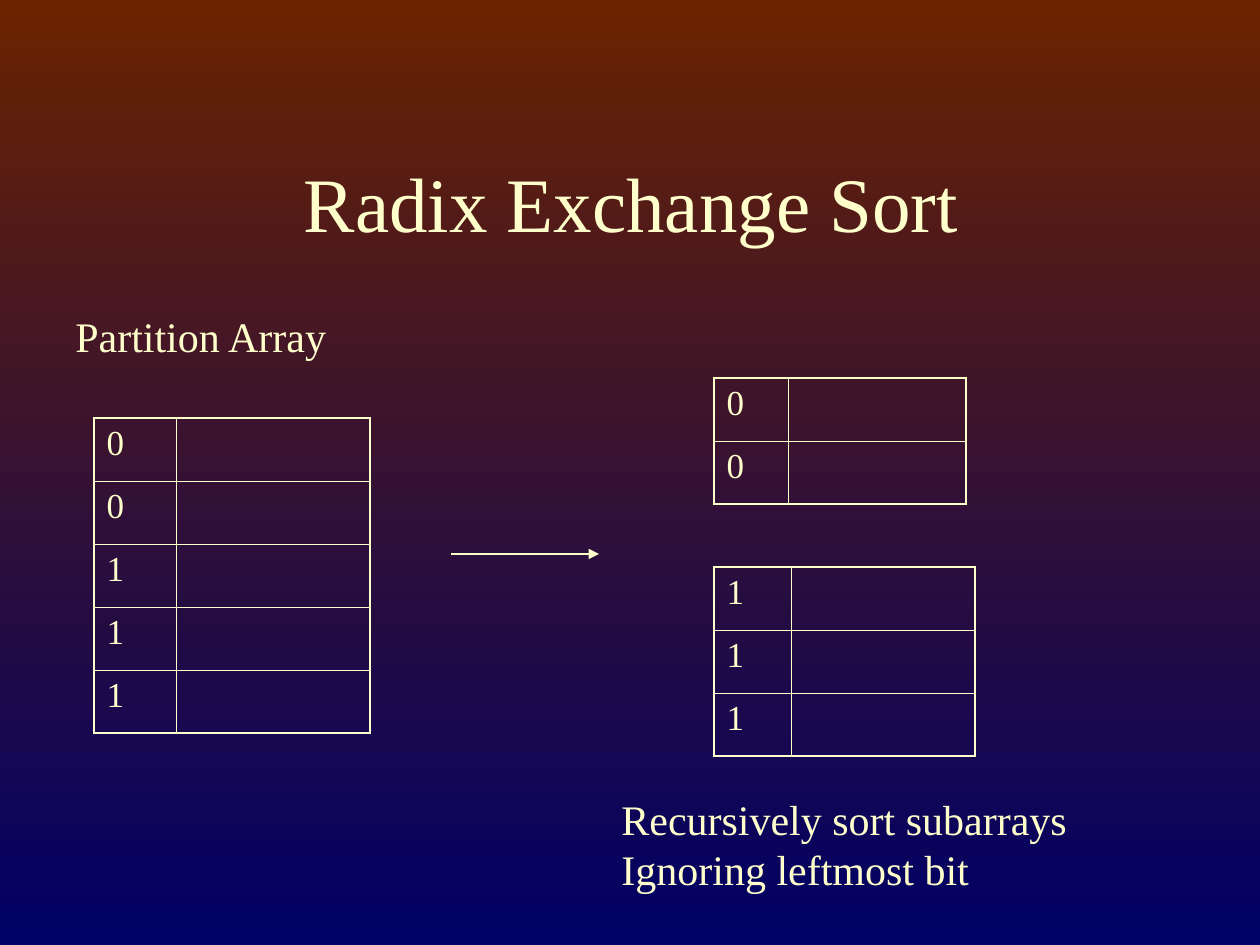
from lxml.etree import SubElement
from pptx import Presentation
from pptx.dml.color import RGBColor
from pptx.enum.shapes import MSO_CONNECTOR
from pptx.enum.text import MSO_ANCHOR, MSO_AUTO_SIZE, PP_ALIGN
from pptx.oxml.ns import qn
from pptx.util import Emu, Pt

PX_PER_INCH = 126
FONT = "Times New Roman"
CREAM = "FFFFCC"
BACKDROP = ["6B2300", "000066"]
OUTER, INNER = 1.08, 0.45
ROW_HEIGHT = 63

TITLE = ("Radix Exchange Sort", (19, 122, 1225, 159))
CAPTIONS = [
    (["Partition Array"], (63, 304, 279, 63)),
    (["Recursively sort subarrays", "Ignoring leftmost bit"], (609, 787, 474, 113)),
]
ARRAYS = [
    (["0", "0", "1", "1", "1"], (94, 418), (82, 194)),
    (["0", "0"], (714, 378), (74, 178)),
    (["1", "1", "1"], (714, 567), (77, 184)),
]
ARROW = (451, 554, 599, 554)


def px(*lengths):
    return [Emu(round(length * 914400 / PX_PER_INCH)) for length in lengths]


def color(hex_code):
    return RGBColor.from_string(hex_code)


def write(paragraph, words, size):
    run = paragraph.add_run()
    run.text = words
    run.font.name = FONT
    run.font.size = Pt(size)
    run.font.color.rgb = color(CREAM)


def add_border(cell, side, points):
    edge = SubElement(cell._tc.get_or_add_tcPr(), qn(f"a:ln{side}"), w=str(Pt(points)))
    paint = SubElement(edge, qn("a:solidFill"))
    SubElement(paint, qn("a:srgbClr"), val=CREAM)


def add_array(slide, bits, corner, widths):
    size = (sum(widths), ROW_HEIGHT * len(bits))
    table = slide.shapes.add_table(len(bits), len(widths), *px(*corner, *size)).table
    table.first_row = table.horz_banding = False
    for column, width in zip(table.columns, px(*widths)):
        column.width = width
    last_row, last_column = len(bits) - 1, len(widths) - 1
    for r, bit in enumerate(bits):
        for c in range(len(widths)):
            cell = table.cell(r, c)
            on_edge = {"L": c == 0, "R": c == last_column, "T": r == 0, "B": r == last_row}
            for side, outside in on_edge.items():
                add_border(cell, side, OUTER if outside else INNER)
            cell.fill.background()
        write(table.cell(r, 0).text_frame.paragraphs[0], bit, 20)


def add_caption(slide, lines, box):
    frame = slide.shapes.add_textbox(*px(*box)).text_frame
    frame.word_wrap = False
    frame.auto_size = MSO_AUTO_SIZE.SHAPE_TO_FIT_TEXT
    for i, line in enumerate(lines):
        paragraph = frame.add_paragraph() if i else frame.paragraphs[0]
        write(paragraph, line, 24)


def add_arrow(slide, ends):
    arrow = slide.shapes.add_connector(MSO_CONNECTOR.STRAIGHT, *px(*ends))
    arrow.line.color.rgb = color(CREAM)
    arrow.line.width = Pt(1)
    SubElement(arrow.line._get_or_add_ln(), qn("a:tailEnd"), type="triangle")
    SubElement(arrow._element.spPr, qn("a:effectLst"))


def main():
    deck = Presentation()
    deck.slide_width, deck.slide_height = px(1260, 945)
    slide = deck.slides.add_slide(deck.slide_layouts[5])

    backdrop = slide.background.fill
    backdrop.gradient()
    backdrop.gradient_angle = 270
    for stop, shade, position in zip(backdrop.gradient_stops, BACKDROP, (0, 1)):
        stop.color.rgb = color(shade)
        stop.position = position

    heading, box = TITLE
    title = slide.shapes.title
    title.left, title.top, title.width, title.height = px(*box)
    title.text_frame.vertical_anchor = MSO_ANCHOR.MIDDLE
    title.text_frame.paragraphs[0].alignment = PP_ALIGN.CENTER
    write(title.text_frame.paragraphs[0], heading, 44)

    for array in ARRAYS:
        add_array(slide, *array)
    for caption in CAPTIONS:
        add_caption(slide, *caption)
    add_arrow(slide, ARROW)
    deck.save("out.pptx")


if __name__ == "__main__":
    main()
